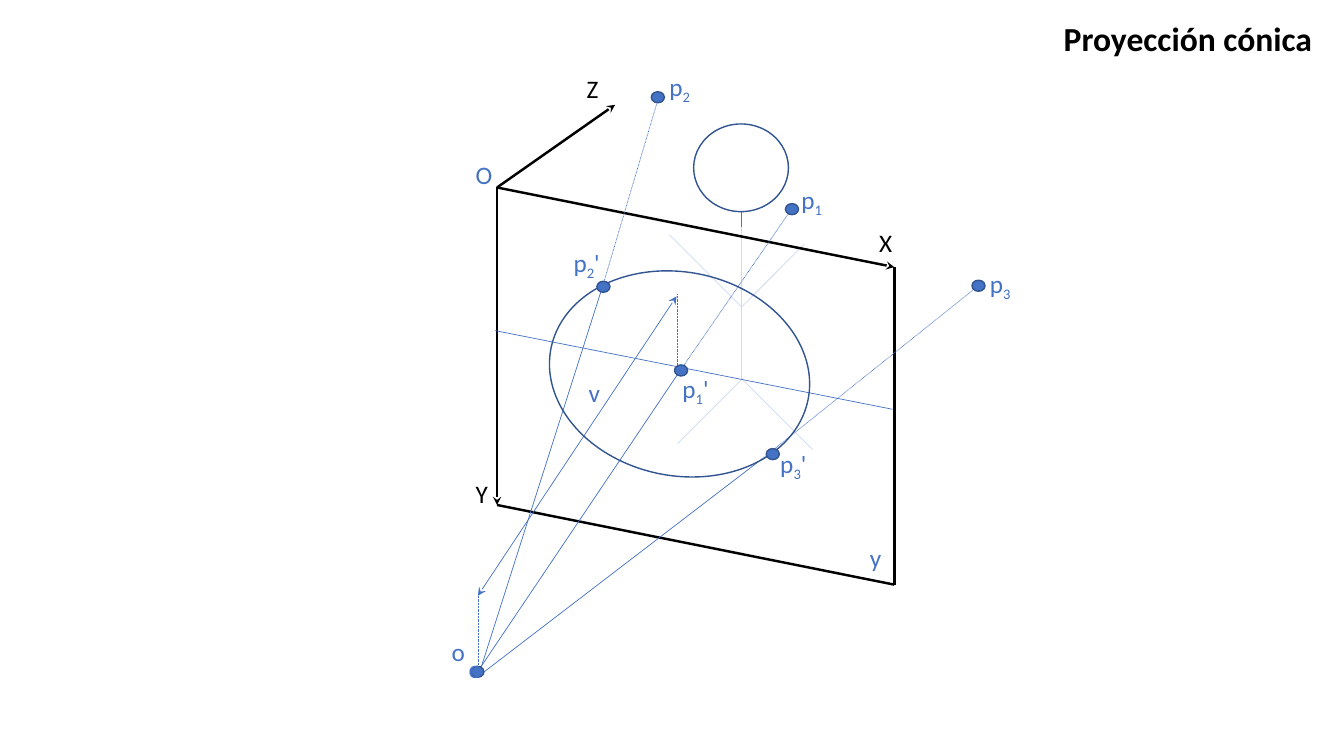
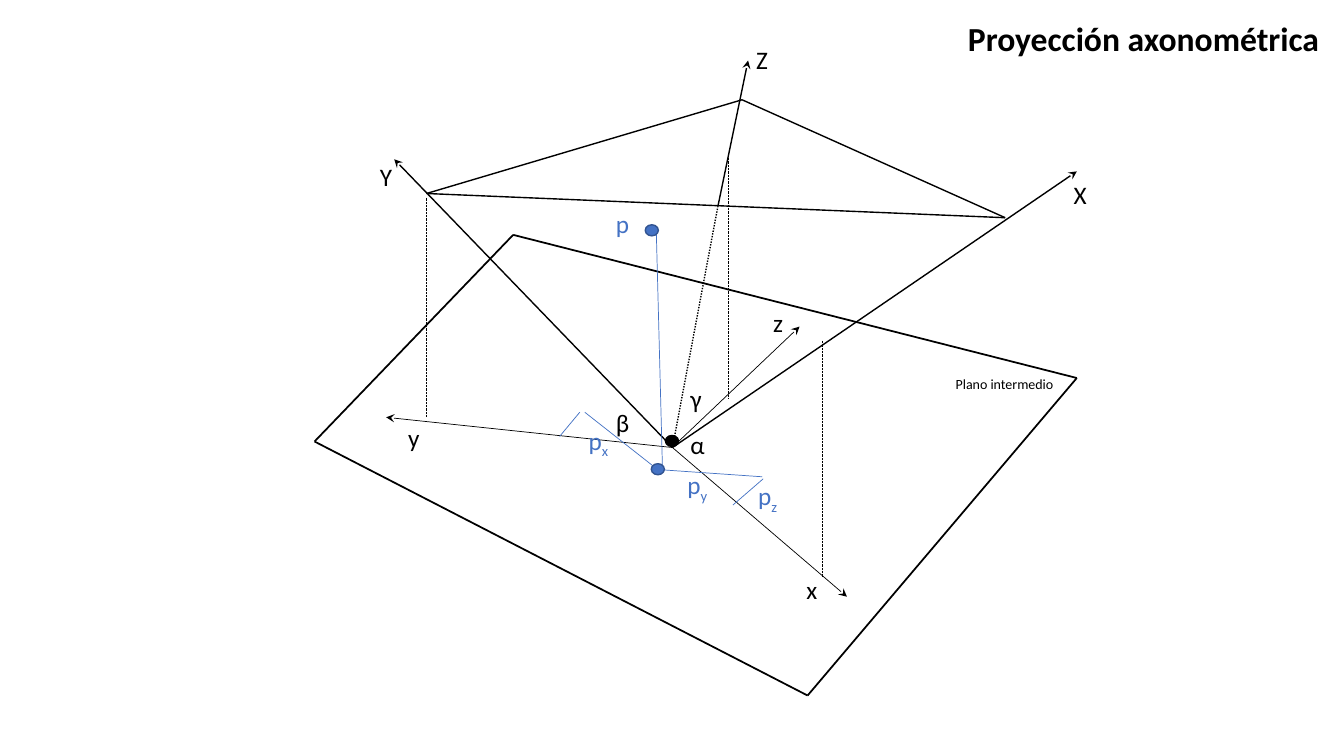
"""Build two slides on conic and axonometric projection."""
from lxml.etree import SubElement
from pptx import Presentation
from pptx.dml.color import RGBColor
from pptx.enum.dml import MSO_LINE
from pptx.enum.shapes import MSO_CONNECTOR, MSO_SHAPE
from pptx.enum.text import MSO_ANCHOR, PP_ALIGN
from pptx.oxml.ns import qn
from pptx.util import Inches, Pt

FONT = "Calibri"
BLACK, WHITE, BLUE, DARK_BLUE = "000000", "FFFFFF", "4472C4", "325491"
color = RGBColor.from_string


def add_line(page, start, end, line_color, width, dotted=False, ends=()):
    points = [Inches(value) for value in (*start, *end)]
    line = page.shapes.add_connector(MSO_CONNECTOR.STRAIGHT, *points)
    line.line.color.rgb = color(line_color)
    line.line.width = Pt(width)
    if dotted:
        line.line.dash_style = MSO_LINE.ROUND_DOT
    for end_name in ends:
        SubElement(line.get_or_add_ln(), qn(f"a:{end_name}End"), type="stealth")
    SubElement(line._element.spPr, qn("a:effectLst"))


def add_oval(page, left, top, width, height, fill, outline):
    oval = page.shapes.add_shape(
        MSO_SHAPE.OVAL, Inches(left), Inches(top), Inches(width), Inches(height))
    oval.shadow.inherit = False
    if fill:
        oval.fill.solid()
        oval.fill.fore_color.rgb = color(fill)
    else:
        oval.fill.background()
    oval.line.color.rgb = color(outline)
    oval.line.width = Pt(1)
    return oval


deck = Presentation()
deck.slide_width, deck.slide_height = Inches(13.33), Inches(7.5)

pages = []
for heading, left, width in [
    ("Proyección cónica", 10.45, 2.69),
    ("Proyección axonométrica", 9.5, 3.72),
]:
    page = deck.slides.add_slide(deck.slide_layouts[5])
    title = page.shapes.title
    title.left, title.top = Inches(left), Inches(0.13)
    title.width, title.height = Inches(width), Inches(0.5)
    frame = title.text_frame
    frame.text = heading
    frame.word_wrap = False
    frame.vertical_anchor = MSO_ANCHOR.TOP
    para = frame.paragraphs[0]
    para.alignment = PP_ALIGN.LEFT
    para.font.name = FONT
    para.font.size = Pt(24)
    para.font.bold = True
    para.font.color.rgb = color(BLACK)
    pages.append(page)
conic, axonometric = pages

add_oval(conic, 6.88, 1.23, 0.94, 0.87, WHITE, DARK_BLUE)
for start, end in [
    ((7.35, 2.1), (7.35, 3.75)),
    ((7.35, 3.77), (6.72, 4.4)),
    ((7.35, 3.75), (8.06, 4.46)),
    ((6.64, 2.33), (7.35, 3.04)),
    ((7.98, 2.42), (7.35, 3.05)),
]:
    add_line(conic, start, end, BLUE, 0.5)
veil = conic.shapes.add_shape(
    MSO_SHAPE.RECTANGLE, Inches(6.31), Inches(2.25), Inches(2.05), Inches(2.76))
veil.shadow.inherit = False
veil.fill.solid()
veil.fill.fore_color.rgb = color(WHITE)
veil.line.fill.background()
veil_color = veil._element.spPr.find(qn("a:solidFill")).find(qn("a:srgbClr"))
SubElement(veil_color, qn("a:alpha"), val="75000")

top_left, top_right = (4.93, 1.86), (8.87, 2.65)
bottom_left, bottom_right = (4.93, 5.01), (8.87, 5.8)
for start, end, ends in [
    (top_left, bottom_left, ["tail"]),
    (top_right, bottom_right, []),
    (top_left, top_right, ["tail"]),
    (bottom_left, bottom_right, []),
    (top_left, (6.1, 1.04), ["tail"]),
]:
    add_line(conic, start, end, BLACK, 1.75, ends=ends)

for viewpoint, crossing, target in [
    ((4.74, 6.66), (6.73, 3.7), (7.84, 2.09)),
    ((4.75, 6.69), (5.98, 2.83), (6.54, 0.94)),
    ((4.77, 6.69), (7.51, 4.59), (9.66, 2.87)),
]:
    add_line(conic, viewpoint, crossing, BLUE, 0.5)
    add_line(conic, crossing, target, BLUE, 0.5, dotted=True)
add_line(conic, (4.74, 5.91), (4.74, 6.69), BLUE, 0.5, dotted=True)
add_line(conic, (6.72, 2.92), (6.72, 3.71), BLUE, 0.5, dotted=True)
add_line(conic, (4.74, 5.91), (6.71, 2.94), BLUE, 0.5, ends=["head", "tail"])
add_line(conic, (4.91, 3.28), (8.85, 4.06), BLUE, 0.5)
add_oval(conic, 5.44, 2.7, 2.6, 2.02, None, DARK_BLUE).rotation = 11.2

plane = [(3.12, 4.38), (5.09, 2.33), (10.68, 3.75), (8.01, 6.9)]
triangle = [(4.23, 1.92), (9.97, 2.16), (7.36, 0.99)]
for corners, width in [(plane, 1.25), (triangle, 1)]:
    for start, end in zip(corners, corners[1:] + corners[:1]):
        add_line(axonometric, start, end, BLACK, width)

origin, hidden_end = (6.67, 4.44), (7.12, 2.05)
for start, end, width in [
    (origin, (3.91, 1.58), 1),
    (origin, (10.68, 1.7), 1),
    (hidden_end, (7.42, 0.6), 1),
    (origin, (3.83, 4.14), 0.5),
    (origin, (8.4, 5.92), 0.5),
    ((6.73, 4.38), (7.93, 3.24), 0.5),
]:
    add_line(axonometric, start, end, BLACK, width, ends=["tail"])
add_line(axonometric, origin, hidden_end, BLACK, 1, dotted=True)
for x, top, bottom in [(4.23, 1.96, 4.14), (8.16, 3.38, 5.72), (7.22, 1.55, 3.95)]:
    add_line(axonometric, (x, top), (x, bottom), BLACK, 0.5, dotted=True)

for start, end in [
    ((7.56, 4.73), (6.55, 4.66)),
    ((5.8, 4.09), (6.55, 4.68)),
    ((5.75, 4.09), (5.55, 4.33)),
    ((7.57, 4.75), (7.27, 5.01)),
    ((6.51, 2.32), (6.57, 4.62)),
]:
    add_line(axonometric, start, end, BLUE, 0.5)

for page, left, top, fill, outline in [
    (conic, 4.67, 6.61, BLUE, DARK_BLUE),
    (conic, 6.69, 3.62, BLUE, DARK_BLUE),
    (conic, 7.79, 2.02, BLUE, DARK_BLUE),
    (conic, 9.64, 2.78, BLUE, DARK_BLUE),
    (conic, 6.46, 0.91, BLUE, DARK_BLUE),
    (conic, 5.92, 2.79, BLUE, DARK_BLUE),
    (conic, 7.6, 4.45, BLUE, DARK_BLUE),
    (axonometric, 6.6, 4.32, BLACK, BLACK),
    (axonometric, 6.4, 2.23, BLUE, DARK_BLUE),
    (axonometric, 6.46, 4.6, BLUE, DARK_BLUE),
]:
    add_oval(page, left, top, 0.13, 0.11, fill, outline)

for page, text, left, top, width, text_color, size in [
    (conic, "o", 4.38, 6.26, 0.39, BLUE, 18),
    (conic, "o", 4.55, 6.43, 0.39, BLUE, 18),
    (conic, "O", 4.62, 1.53, 0.39, BLUE, 18),
    (conic, "v", 5.74, 3.69, 0.39, BLUE, 18),
    (conic, "y", 8.53, 5.33, 0.39, BLUE, 18),
    (conic, "X", 8.62, 2.21, 0.39, BLACK, 18),
    (conic, "Y", 4.62, 4.7, 0.39, BLACK, 18),
    (conic, "Z", 5.72, 0.68, 0.39, BLACK, 18),
    (conic, "p|1", 7.85, 1.78, 0.45, BLUE, 18),
    (conic, "p|2", 6.54, 0.66, 0.45, BLUE, 18),
    (conic, "p|3", 9.72, 2.61, 0.45, BLUE, 18),
    (conic, "p|1|'", 6.67, 3.65, 0.52, BLUE, 18),
    (conic, "p|2|'", 5.59, 2.4, 0.52, BLUE, 18),
    (conic, "p|3|'", 7.64, 4.4, 0.52, BLUE, 18),
    (axonometric, "X", 10.55, 1.73, 0.39, BLACK, 18),
    (axonometric, "Y", 3.67, 1.55, 0.39, BLACK, 18),
    (axonometric, "Z", 7.4, 0.39, 0.39, BLACK, 18),
    (axonometric, "x", 7.9, 5.65, 0.39, BLACK, 18),
    (axonometric, "y", 3.95, 4.14, 0.39, BLACK, 18),
    (axonometric, "z", 7.57, 3, 0.39, BLACK, 18),
    (axonometric, "α", 6.75, 4.21, 0.39, BLACK, 18),
    (axonometric, "β", 6.01, 3.99, 0.39, BLACK, 18),
    (axonometric, "γ", 6.75, 3.75, 0.39, BLACK, 18),
    (axonometric, "Plano intermedio", 9.38, 3.68, 1.3, BLACK, 10),
    (axonometric, "p", 6.01, 2.02, 0.45, BLUE, 18),
    (axonometric, "p|x", 5.74, 4.17, 0.45, BLUE, 18),
    (axonometric, "p|y", 6.72, 4.61, 0.45, BLUE, 18),
    (axonometric, "p|z", 7.42, 4.72, 0.45, BLUE, 18),
]:
    height = 0.4 if size == 18 else 0.27
    box = page.shapes.add_textbox(Inches(left), Inches(top), Inches(width), Inches(height))
    box.text_frame.word_wrap = True
    para = box.text_frame.paragraphs[0]
    para.font.name = FONT
    para.font.size = Pt(size)
    para.font.color.rgb = color(text_color)
    for index, part in enumerate(text.split("|")):
        span = para.add_run()
        span.text = part
        if index == 1:
            span.font._element.set("baseline", "-25000")

deck.save("out.pptx")
